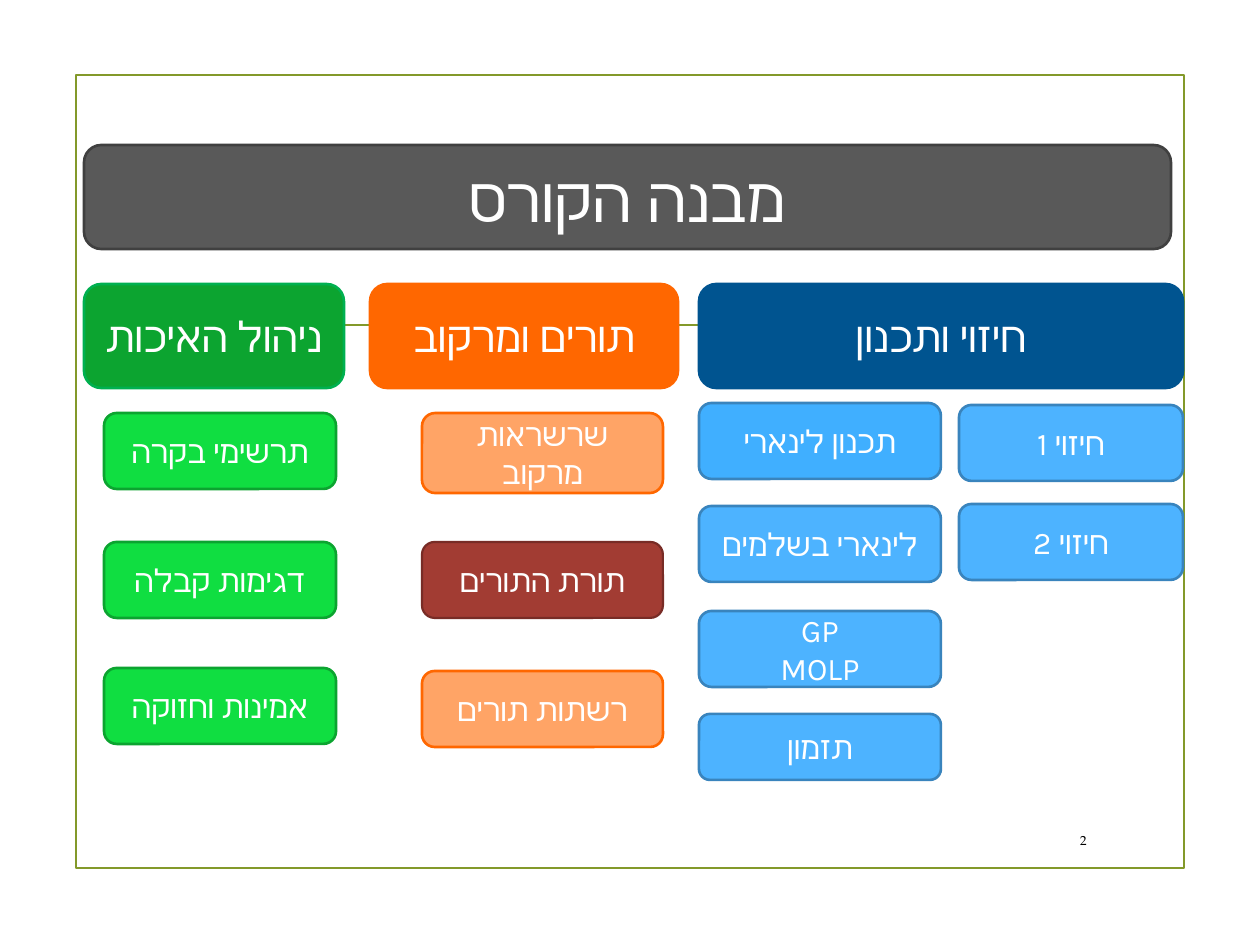
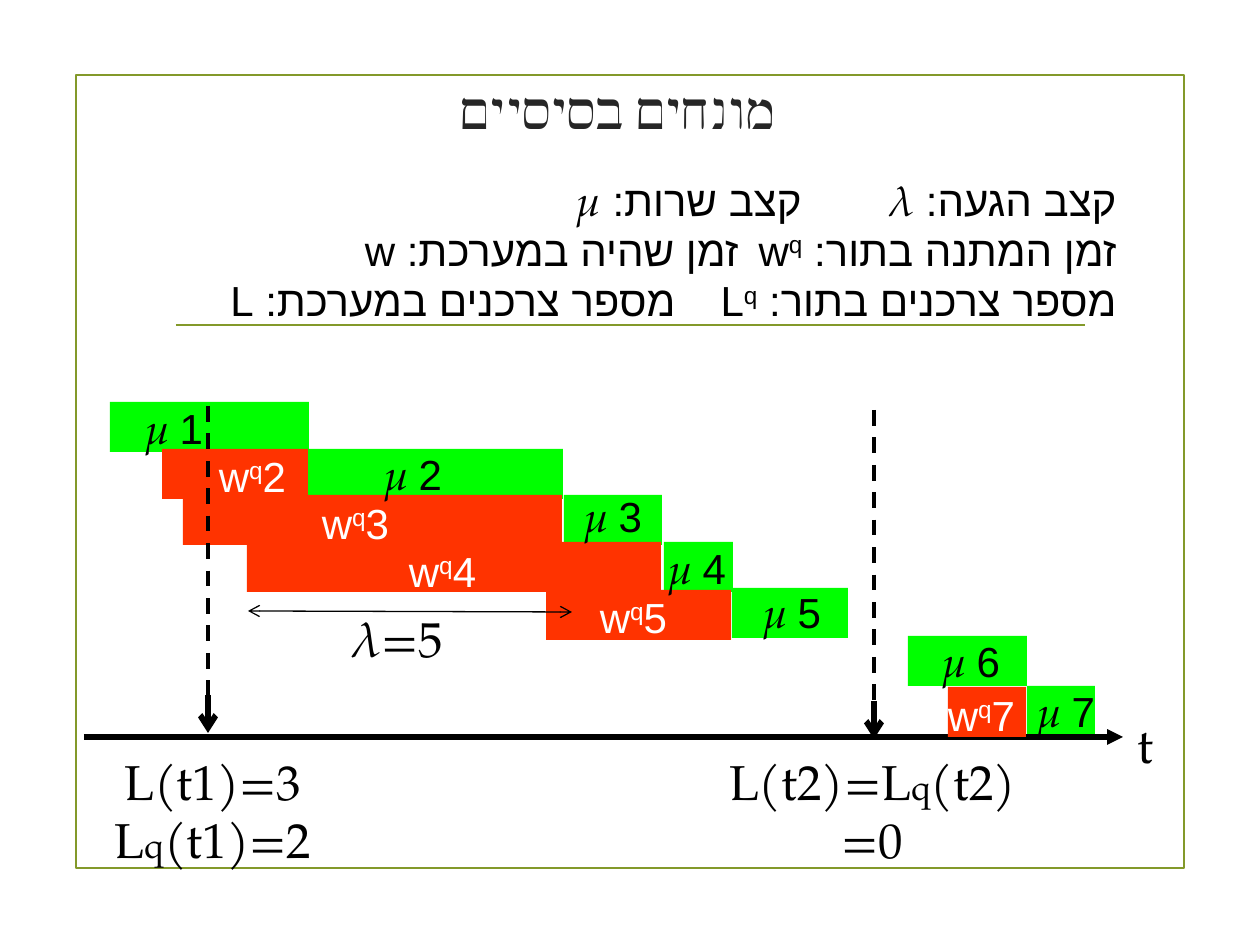
from lxml import etree
from pptx import Presentation, util as u
from pptx.dml.color import RGBColor
from pptx.enum import dml, shapes, text
from pptx.oxml import ns

SCALE = u.Inches(1) / 126
SANS, HEADING, SERIF = "Arial", "Karla", "TeX Gyre Pagella"
COLORS = {
    "frame": "83992A", "black": "000000", "white": "FFFFFF", "title": "262626",
    "gray": "595959", "gray line": "404040",
    "orange": "FF6700", "light orange": "FFA466", "red": "A23C33", "red line": "782C26",
    "green": "0CA430", "green line": "00B050", "light green": "10DE41",
    "blue": "005490", "light blue": "4DB3FF", "sky": "40AFFF", "blue line": "3984BD",
    "service": "00FF00", "wait": "FF3300",
}
CENTER, RIGHT = text.PP_ALIGN.CENTER, text.PP_ALIGN.RIGHT
RECTANGLE = shapes.MSO_SHAPE.RECTANGLE
ROUNDED = shapes.MSO_SHAPE.ROUNDED_RECTANGLE


def px(*lengths):
    return [u.Emu(round(length * SCALE)) for length in lengths]


def rgb(name):
    return RGBColor.from_string(COLORS[name])


def format_run(run, size, font, color, italic=False, raised=False):
    run.font.size = u.Pt(size)
    run.font.name = font
    run.font.italic = italic
    run.font.color.rgb = rgb(color)
    properties = run.font._element
    for tag in ("a:ea", "a:cs"):
        etree.SubElement(properties, ns.qn(tag)).set("typeface", font)
    if raised:
        properties.set("baseline", "30000")


def format_paragraph(paragraph, align, rtl=False):
    paragraph.alignment = align
    if rtl:
        paragraph._p.get_or_add_pPr().set("rtl", "1")


def add_panel(slide, box, fill=None, line=None, width=1.5, kind=RECTANGLE):
    shape = slide.shapes.add_shape(kind, *px(*box))
    shape.shadow.inherit = False
    if fill:
        shape.fill.solid()
        shape.fill.fore_color.rgb = rgb(fill)
    else:
        shape.fill.background()
    if line:
        shape.line.color.rgb = rgb(line)
        shape.line.width = u.Pt(width)
    else:
        shape.line.fill.background()
    return shape


def add_card(slide, box, label, fill, line, size=18, width=1.5):
    frame = add_panel(slide, box, fill, line, width, ROUNDED).text_frame
    frame.word_wrap = True
    frame.vertical_anchor = text.MSO_ANCHOR.MIDDLE
    frame.text = label
    for paragraph in frame.paragraphs:
        format_paragraph(paragraph, CENTER, rtl=True)
        for run in paragraph.runs:
            format_run(run, size, HEADING, "white")


def add_text(slide, box, paragraphs, align=CENTER, rtl=False):
    frame = slide.shapes.add_textbox(*px(*box)).text_frame
    frame.word_wrap = True
    for index, parts in enumerate(paragraphs):
        paragraph = frame.add_paragraph() if index else frame.paragraphs[0]
        format_paragraph(paragraph, align, rtl)
        for content, *style in parts:
            run = paragraph.add_run()
            run.text = content
            format_run(run, *style)
    return frame


def add_line(slide, ends, color="black", width=1.25, dashed=False, head=None, tail=None):
    line = slide.shapes.add_connector(shapes.MSO_CONNECTOR.STRAIGHT, *px(*ends))
    line.line.color.rgb = rgb(color)
    line.line.width = u.Pt(width)
    if dashed:
        line.line.dash_style = dml.MSO_LINE.DASH
    for tag, arrow in (("a:headEnd", head), ("a:tailEnd", tail)):
        if arrow:
            etree.SubElement(line.line._get_or_add_ln(), ns.qn(tag)).set("type", arrow)
    etree.SubElement(line._element.spPr, ns.qn("a:effectLst"))


def add_slide(presentation, layout, title=None):
    slide = presentation.slides.add_slide(presentation.slide_layouts.get_by_name(layout))
    add_panel(slide, (76, 75, 1108, 793), line="frame", width=1.25)
    add_line(slide, (176, 325, 1085, 325), "frame")
    if title:
        shape = slide.shapes.title
        shape.left, shape.top, shape.width, shape.height = px(134, 55, 968, 108)
        frame = shape.text_frame
        frame.text = title
        frame.vertical_anchor = text.MSO_ANCHOR.MIDDLE
        format_paragraph(frame.paragraphs[0], CENTER)
        format_run(frame.paragraphs[0].runs[0], 30, SERIF, "title")
    return slide


def build_course_structure(presentation):
    slide = add_slide(presentation, "Blank")
    number = add_text(slide, (1044, 821, 55, 39), [[("2", 7.5, SERIF, "black")]], RIGHT)
    number.vertical_anchor = text.MSO_ANCHOR.MIDDLE
    add_card(slide, (84, 145, 1087, 104), "מבנה הקורס", "gray", "gray line", 36)

    for left, width, label, fill, line in (
        (370, 308, "תורים ומרקוב", "orange", "orange"),
        (84, 260, "ניהול האיכות", "green", "green line"),
        (699, 484, "חיזוי ותכנון", "blue", "blue"),
    ):
        add_card(slide, (left, 284, width, 104), label, fill, line, 24)

    columns = (
        (959, 224, "light blue", "blue line", (
            (405, 76, "חיזוי 1"), (504, 76, "חיזוי 2"))),
        (699, 242, "light blue", "blue line", (
            (506, 76, "לינארי בשלמים"), (611, 76, "GP\nMOLP"), (714, 66, "תזמון"))),
        (422, 241, "light orange", "orange", (
            (413, 80, "שרשראות מרקוב"), (671, 76, "רשתות תורים"))),
        (104, 232, "light green", "green", (
            (413, 76, "תרשימי בקרה"), (542, 76, "דגימות קבלה"),
            (668, 76, "אמינות וחזוקה"))),
    )
    for left, width, fill, line, topics in columns:
        for top, height, label in topics:
            add_card(slide, (left, top, width, height), label, fill, line)
    add_card(slide, (699, 403, 242, 76), "תכנון לינארי", "sky", "blue line")
    add_card(slide, (422, 542, 241, 76), "תורת התורים", "red", "red line", width=1.25)


def add_definitions(slide):
    plain = (24, SANS, "black")
    symbol = (24, SERIF, "black", True)
    raised = (24, SANS, "black", False, True)
    add_text(slide, (-62, 168, 1191, 165), [
        [("קצב הגעה: ", *plain), ("λ ", *symbol),
         ("\t\t\tקצב שרות: ", *plain), ("μ", *symbol)],
        [("זמן המתנה בתור: w", *plain), ("q", *raised),
         ("\t\tזמן שהיה במערכת: w", *plain)],
        [("מספר צרכנים בתור: L", *plain), ("q", *raised),
         ("\t\tמספר צרכנים במערכת: L", *plain)],
    ], RIGHT, rtl=True)


def add_timeline(slide):
    bar_height, label_size = 50, (121, 71)
    services = (
        (1, 110, 402, 199, 113, 396), (2, 308, 449, 255, 352, 442),
        (3, 564, 495, 98, 552, 484), (4, 664, 542, 69, 636, 536),
        (5, 732, 588, 116, 731, 580), (6, 908, 636, 119, 910, 629),
        (7, 1027, 686, 68, 1005, 679),
    )
    waits = (
        (2, 162, 449, 146, 192, 444), (3, 183, 495, 379, 295, 491),
        (4, 247, 542, 414, 382, 539), (5, 546, 590, 185, 573, 585),
        (7, 948, 687, 78, 921, 683),
    )
    for _, left, top, width, *_ in services:
        add_panel(slide, (left, top, width, bar_height), "service")
    add_line(slide, (84, 737, 1123, 737), width=3, tail="triangle")
    for _, left, top, width, *_ in waits:
        add_panel(slide, (left, top, width, bar_height), "wait")
    for customer, *_, left, top in services:
        add_text(slide, (left, top, *label_size), [[
            ("μ ", 24, SERIF, "black", True), (str(customer), 24, SANS, "black")]])
    for customer, *_, left, top in waits:
        add_text(slide, (left, top, *label_size), [[
            ("w", 24, SANS, "white"), ("q", 24, SANS, "white", False, True),
            (str(customer), 24, SANS, "white")]])


def add_observations(slide):
    large, small = (28, SERIF, "black"), (20, SERIF, "black")
    add_text(slide, (1106, 708, 79, 72), [[("t", *large)]])
    for x, top, middle, bottom in ((208, 406, 695, 733), (874, 410, 701, 739)):
        add_line(slide, (x, top, x, middle), width=2.25, dashed=True)
        add_line(slide, (x, middle, x, bottom), width=3.25, tail="arrow")
    add_text(slide, (92, 745, 242, 137), [[
        ("L(t1)=3 L", *large), ("q", *small), ("(t1)=2", *large)]])
    add_text(slide, (702, 745, 341, 78), [[
        ("L(t2)=L", *large), ("q", *small), ("(t2)=0", *large)]])
    add_line(slide, (248, 611, 572, 612), width=0.75, head="arrow", tail="arrow")
    add_text(slide, (340, 602, 116, 78), [[("λ=", *large, True), ("5", *large)]])


def build_basic_terms(presentation):
    slide = add_slide(presentation, "Title Only", "מונחים בסיסיים")
    add_definitions(slide)
    add_timeline(slide)
    add_observations(slide)


def main():
    presentation = Presentation()
    presentation.slide_width, presentation.slide_height = u.Inches(10), u.Inches(7.5)
    build_course_structure(presentation)
    build_basic_terms(presentation)
    presentation.save("out.pptx")


main()
